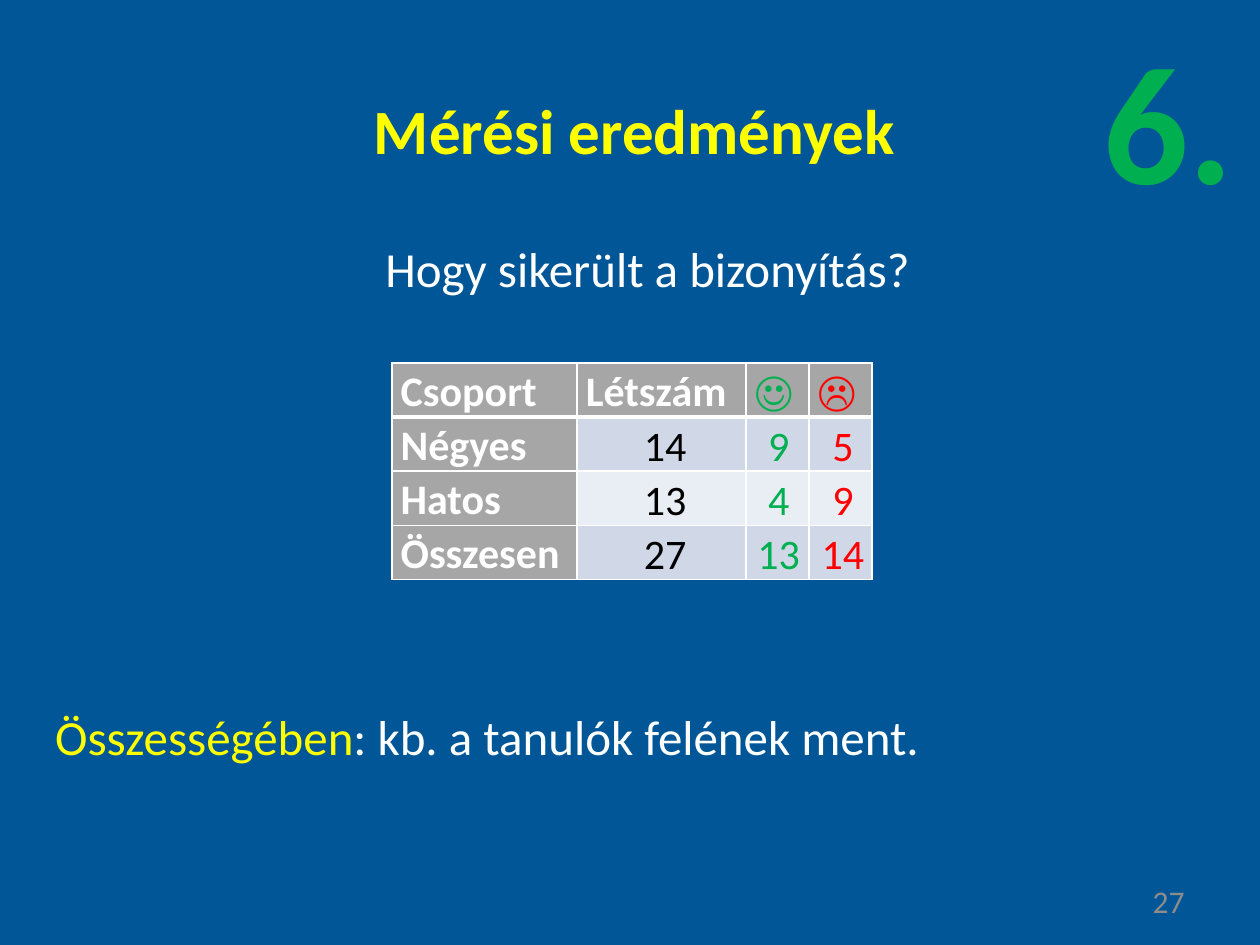
from lxml import etree
from pptx import Presentation
from pptx.dml.color import RGBColor
from pptx.enum.text import MSO_ANCHOR, PP_ALIGN
from pptx.oxml.ns import qn
from pptx.util import Inches, Pt

COLORS = {
    "background": "005696", "yellow": "FFFF00", "white": "FFFFFF",
    "green": "00B050", "red": "FF0000", "black": "000000",
    "number": "8C8C8C", "heading": "A6A6A6", "band": "D0D8E8", "plain": "E9EDF4",
}
LEFT, CENTER, RIGHT = PP_ALIGN.LEFT, PP_ALIGN.CENTER, PP_ALIGN.RIGHT

TEXTS = [
    ((8.66, 0.08, 1.24, 1.72), [("6.", "green")], 96, True, LEFT),
    ((2.87, 0.68, 4.37, 0.71), [("Mérési eredmények", "yellow")], 36, True, LEFT),
    ((2.96, 1.84, 4.41, 0.57), [("Hogy sikerült a bizonyítás?", "white")], 28, False, LEFT),
    ((0.34, 5.56, 7.13, 0.57), [("Összességében", "yellow"),
                                (": kb. a tanulók felének ment.", "white")], 28, False, LEFT),
    ((7.17, 6.95, 2.33, 0.4), [("27", "number")], 18, False, RIGHT),
]
HEADINGS = [("Csoport", "white"), ("Létszám", "white"), ("☺", "green"), ("☹", "red")]
GROUPS = [("Négyes", (14, 9, 5)), ("Hatos", (13, 4, 9)), ("Összesen", (27, 13, 14))]
RESULT_COLUMNS = [(5.01, "black"), (5.91, "green"), (6.42, "red")]

TABLE_LEFT, TABLE_TOP, ROW_HEIGHT = 3.11, 2.88, 0.43
COLUMN_WIDTHS = [1.47, 1.34, 0.5, 0.5]


def rgb(name):
    return RGBColor.from_string(COLORS[name])


def add_run(paragraph, words, color, size, bold):
    run = paragraph.add_run()
    run.text = words
    run.font.name = "Calibri"
    run.font.size = Pt(size)
    run.font.bold = bold
    run.font.color.rgb = rgb(color)


def add_text(slide, place, runs, size, bold, align):
    frame = slide.shapes.add_textbox(*map(Inches, place)).text_frame
    frame.word_wrap = align == RIGHT
    frame.vertical_anchor = MSO_ANCHOR.MIDDLE if align == RIGHT else MSO_ANCHOR.TOP
    paragraph = frame.paragraphs[0]
    paragraph.alignment = align
    for words, color in runs:
        add_run(paragraph, words, color, size, bold)


def set_borders(cell, widths):
    properties = cell._tc.get_or_add_tcPr()
    for position, (side, width) in enumerate(widths.items()):
        line = etree.Element(qn("a:" + side), w=str(Pt(width)))
        fill = etree.SubElement(line, qn("a:solidFill"))
        etree.SubElement(fill, qn("a:srgbClr"), val=COLORS["white"])
        properties.insert(position, line)


def add_results_table(slide):
    row_count = len(GROUPS) + 1
    table = slide.shapes.add_table(
        row_count, len(HEADINGS), Inches(TABLE_LEFT), Inches(TABLE_TOP),
        Inches(sum(COLUMN_WIDTHS)), Inches(ROW_HEIGHT * row_count)).table
    for column, width in zip(table.columns, COLUMN_WIDTHS):
        column.width = Inches(width)
    labels = {(0, column): heading for column, heading in enumerate(HEADINGS)}
    labels.update({(row, 0): (name, "white") for row, (name, _) in enumerate(GROUPS, 1)})
    for row in range(row_count):
        table.rows[row].height = Inches(ROW_HEIGHT)
        for column in range(len(HEADINGS)):
            cell = table.cell(row, column)
            cell.margin_left = cell.margin_right = Inches(0.07)
            cell.margin_top = cell.margin_bottom = 0
            cell.fill.solid()
            body = "band" if row % 2 else "plain"
            cell.fill.fore_color.rgb = rgb("heading" if (row, column) in labels else body)
            set_borders(cell, {"lnL": 1, "lnR": 1, "lnT": 3 if row == 1 else 1,
                               "lnB": 3 if row == 0 else 1})
            if row == 0:
                cell.vertical_anchor = MSO_ANCHOR.MIDDLE
            if (row, column) in labels:
                paragraph = cell.text_frame.paragraphs[0]
                paragraph.alignment = PP_ALIGN.JUSTIFY
                paragraph.line_spacing = 1.07
                add_run(paragraph, *labels[row, column], 24, True)


def add_results(slide):
    for row, (_, results) in enumerate(GROUPS):
        top = 3.28 + row * ROW_HEIGHT
        for result, (left, color) in zip(results, RESULT_COLUMNS):
            add_text(slide, (left, top, 0.54, 0.5), [(str(result), color)], 24, False, CENTER)


def main():
    presentation = Presentation()
    presentation.slide_width, presentation.slide_height = Inches(10), Inches(7.5)
    slide = presentation.slides.add_slide(presentation.slide_layouts[6])
    slide.background.fill.solid()
    slide.background.fill.fore_color.rgb = rgb("background")
    for text in TEXTS:
        add_text(slide, *text)
    add_results_table(slide)
    add_results(slide)
    presentation.save("out.pptx")


if __name__ == "__main__":
    main()
